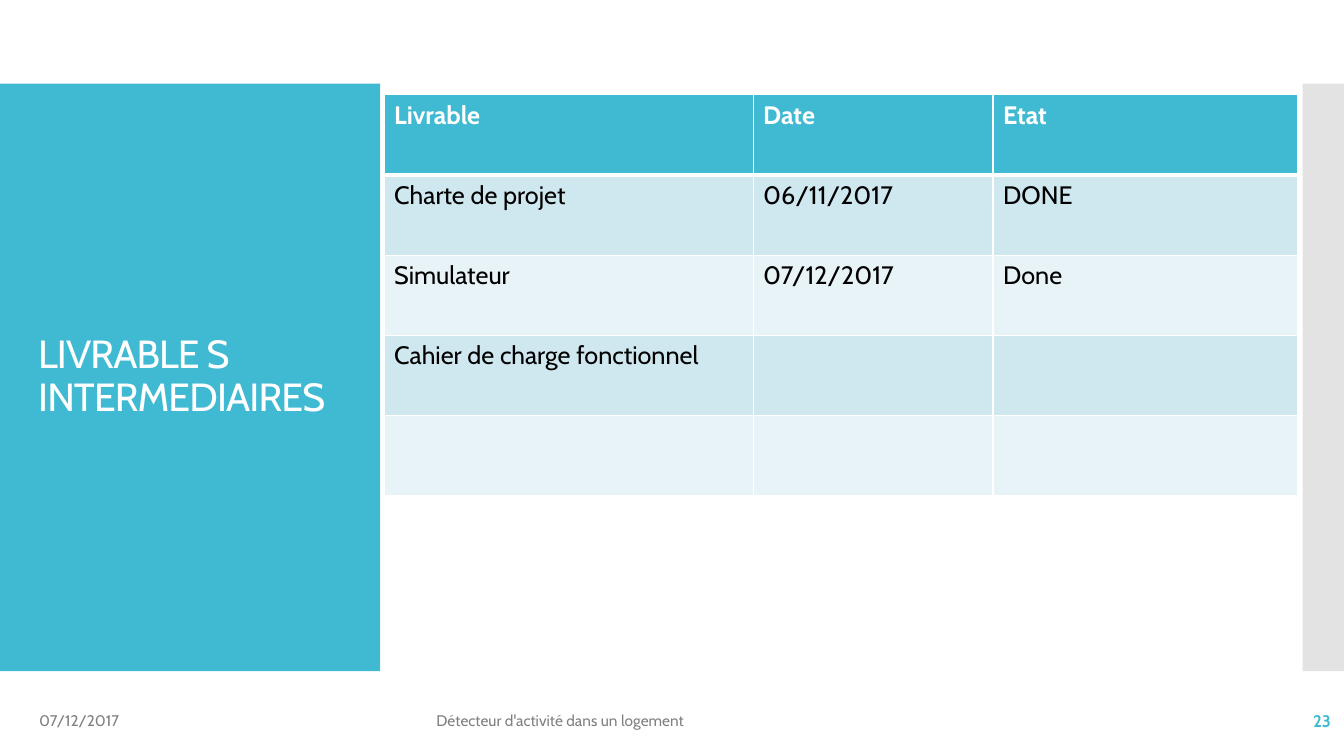
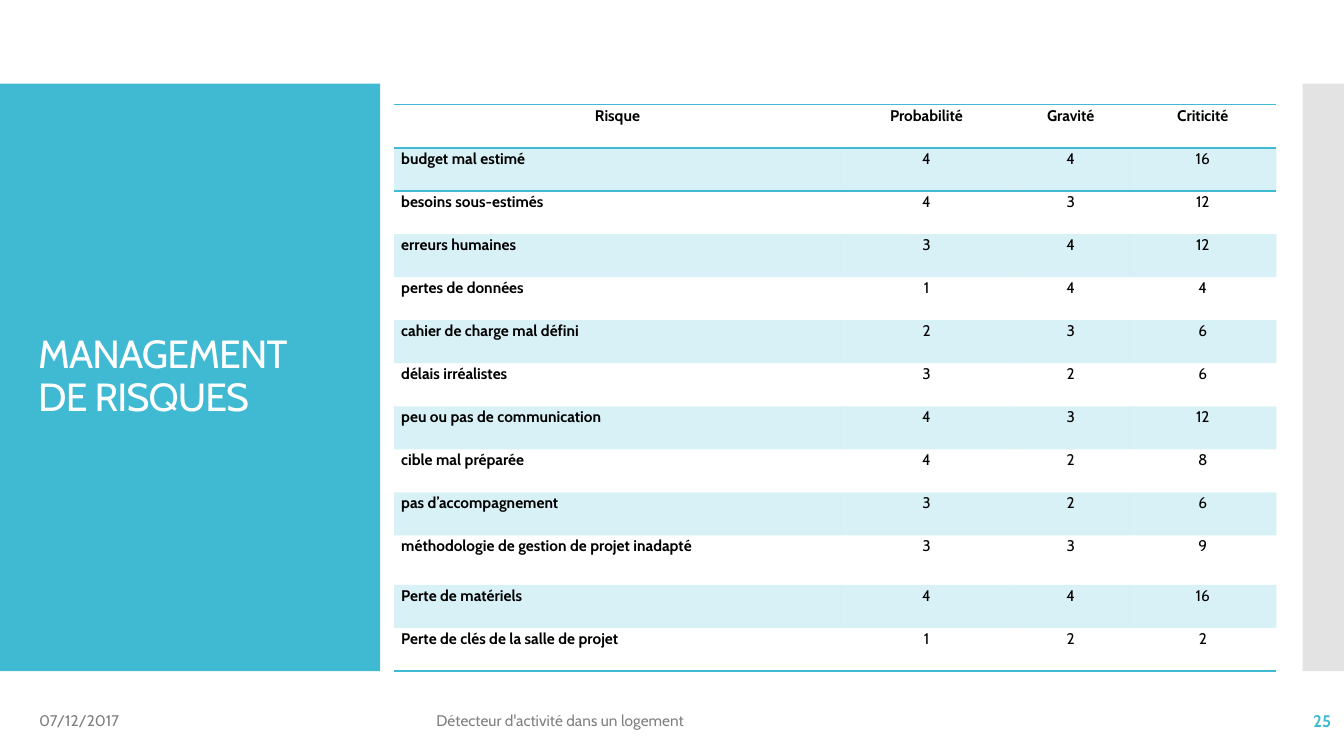
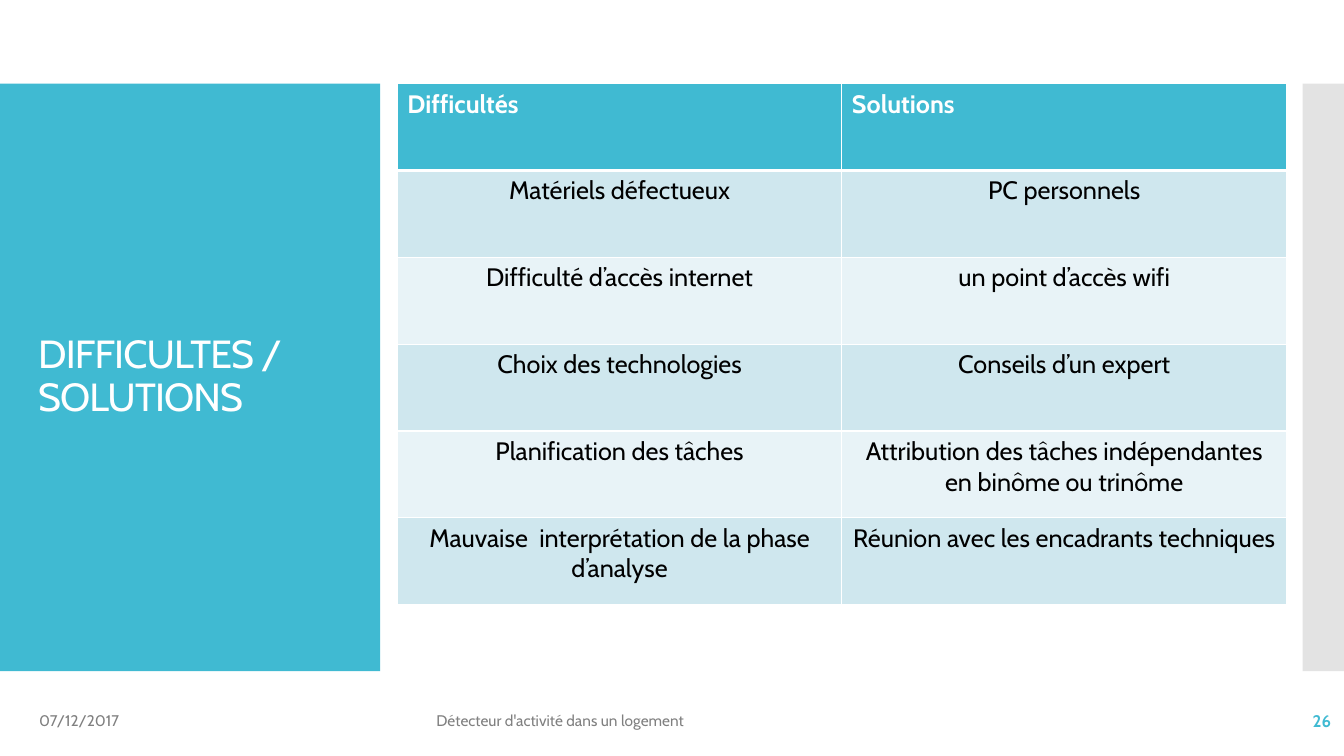
"""Build three project slides: deliverables, risks, and difficulties with solutions."""
from dataclasses import dataclass

from lxml import etree
from pptx import Presentation
from pptx.dml.color import RGBColor
from pptx.enum import shapes, text
from pptx.oxml.ns import qn
from pptx.util import Inches, Pt


@dataclass(frozen=True)
class Theme:
    font: str = "Cabin"
    accent: str = "40BAD2"
    side: str = "C8C8C8"
    white: str = "FFFFFF"
    black: str = "000000"
    muted: str = "808080"
    bands: tuple = ("CFE7EE", "E8F3F7")
    title: int = 28
    grid: int = 18
    small: int = 11
    number: int = 12


theme = Theme()
LEFT, CENTER, RIGHT = text.PP_ALIGN.LEFT, text.PP_ALIGN.CENTER, text.PP_ALIGN.RIGHT


def paint(fill, element, colour, opacity=100):
    fill.solid()
    fill.fore_color.rgb = RGBColor.from_string(colour)
    if opacity < 100:
        solid = element.xpath("./a:solidFill/a:srgbClr")[0]
        etree.SubElement(solid, qn("a:alpha"), val=str(opacity * 1000))


def write(frame, words, size, colour, bold=False, align=LEFT, spacing=1.0):
    frame.word_wrap = True
    para = frame.paragraphs[0]
    para.text = words
    para.alignment = align
    para.line_spacing = spacing
    para.font.name = theme.font
    para.font.size = Pt(size)
    para.font.bold = bold
    para.font.color.rgb = RGBColor.from_string(colour)


deliverables = [
    ("Livrable", "Date", "Etat"),
    ("Charte de projet", "06/11/2017", "DONE"),
    ("Simulateur", "07/12/2017", "Done"),
    ("Cahier de charge fonctionnel", "", ""),
    ("", "", ""),
]
risks = [
    ("Risque", "Probabilité", "Gravité", "Criticité"),
    ("budget mal estimé", "4", "4", "16"),
    ("besoins sous-estimés", "4", "3", "12"),
    ("erreurs humaines", "3", "4", "12"),
    ("pertes de données", "1", "4", "4"),
    ("cahier de charge mal défini", "2", "3", "6"),
    ("délais irréalistes", "3", "2", "6"),
    ("peu ou pas de communication", "4", "3", "12"),
    ("cible mal préparée", "4", "2", "8"),
    ("pas d’accompagnement", "3", "2", "6"),
    ("méthodologie de gestion de projet inadapté", "3", "3", "9"),
    ("Perte de matériels", "4", "4", "16"),
    ("Perte de clés de la salle de projet", "1", "2", "2"),
]
difficulties = [
    ("Difficultés", "Solutions"),
    ("Matériels défectueux", "PC personnels"),
    ("Difficulté d’accès internet", "un point d’accès wifi"),
    ("Choix des technologies", "Conseils d’un expert"),
    ("Planification des tâches", "Attribution des tâches indépendantes en binôme ou trinôme"),
    ("Mauvaise  interprétation de la phase d’analyse", "Réunion avec les encadrants techniques"),
]
pages = [
    dict(title="LIVRABLE S INTERMEDIAIRES", number=23, rows=deliverables, at=(3.81, 0.94),
         widths=(3.66, 2.38, 3.02), height=3.98, tall={}, ruled=False, align=LEFT),
    dict(title="MANAGEMENT\vDE RISQUES", number=25, rows=risks, at=(3.91, 1.04),
         widths=(4.43, 1.7, 1.16, 1.46), height=5.62, tall={10: 0.49}, ruled=True, align=CENTER),
    dict(title="DIFFICULTES /\vSOLUTIONS", number=26, rows=difficulties, at=(3.94, 0.83),
         widths=(4.41, 4.41), height=5.17, tall={}, ruled=False, align=CENTER),
]

deck = Presentation()
deck.slide_width, deck.slide_height = Inches(13.33), Inches(7.5)

for page in pages:
    slide = deck.slides.add_slide(deck.slide_layouts[6])

    for left, width, colour, opacity in ((0, 3.77, theme.accent, 100), (12.92, 0.41, theme.side, 50)):
        band = slide.shapes.add_shape(
            shapes.MSO_SHAPE.RECTANGLE, Inches(left), Inches(0.83), Inches(width), Inches(5.83))
        band.shadow.inherit = False
        band.line.fill.background()
        paint(band.fill, band.element.spPr, colour, opacity)

    labels = [
        ((0.28, 1.23, 3.22, 5.03), page["title"], theme.title, theme.white, False, LEFT, 0.9),
        ((0.29, 6.95, 3, 0.4), "07/12/2017", theme.small, theme.muted),
        ((4.23, 6.95, 6.46, 0.4), "Détecteur d'activité dans un logement", theme.small, theme.muted),
        ((11.63, 6.95, 1.67, 0.4), str(page["number"]), theme.number, theme.accent, True, RIGHT),
    ]
    for place, *style in labels:
        box = slide.shapes.add_textbox(*map(Inches, place))
        box.text_frame.vertical_anchor = text.MSO_ANCHOR.MIDDLE
        write(box.text_frame, *style)
        if style[1] == theme.title:
            box.element.xpath(".//a:defRPr")[0].set("spc", "-60")

    rows, widths, tall, ruled = page["rows"], page["widths"], page["tall"], page["ruled"]
    holder = slide.shapes.add_table(
        len(rows), len(widths), *map(Inches, page["at"]), Inches(sum(widths)), Inches(page["height"]))
    holder.element.xpath(".//a:tableStyleId")[0].text = "{2D5ABB26-0587-4C30-8999-92F81FD0307C}"
    table = holder.table
    for column, width in zip(table.columns, widths):
        column.width = Inches(width)
    usual = (page["height"] - sum(tall.values())) / (len(rows) - len(tall))

    for r, row in enumerate(rows):
        table.rows[r].height = Inches(tall.get(r, usual))
        header = r == 0
        if ruled:
            borders = {"T": int(r < 2), "B": int(header or r == len(rows) - 1)}
        else:
            borders = {"L": 1, "R": 1, "T": 3 if r == 1 else 1, "B": 3 if header else 1}
        for c, words in enumerate(row):
            cell = table.cell(r, c)
            properties = cell._tc.get_or_add_tcPr()
            for edge, points in borders.items():
                if points:
                    line = etree.SubElement(properties, qn("a:ln" + edge), w=str(Pt(points)))
                    solid = etree.SubElement(line, qn("a:solidFill"))
                    etree.SubElement(solid, qn("a:srgbClr"), val=theme.accent if ruled else theme.white)
            if ruled:
                cell.margin_left = cell.margin_right = Inches(0.07)
                cell.margin_top = cell.margin_bottom = 0
                if r % 2:
                    paint(cell.fill, properties, theme.accent, 20)
                else:
                    cell.fill.background()
                align = LEFT if c == 0 and not header else page["align"]
                write(cell.text_frame, words, theme.small, theme.black, header or c == 0, align, 1.07)
            else:
                paint(cell.fill, properties, theme.accent if header else theme.bands[(r - 1) % 2])
                write(cell.text_frame, words, theme.grid, theme.white if header else theme.black,
                      header, LEFT if header else page["align"])

deck.save("out.pptx")
